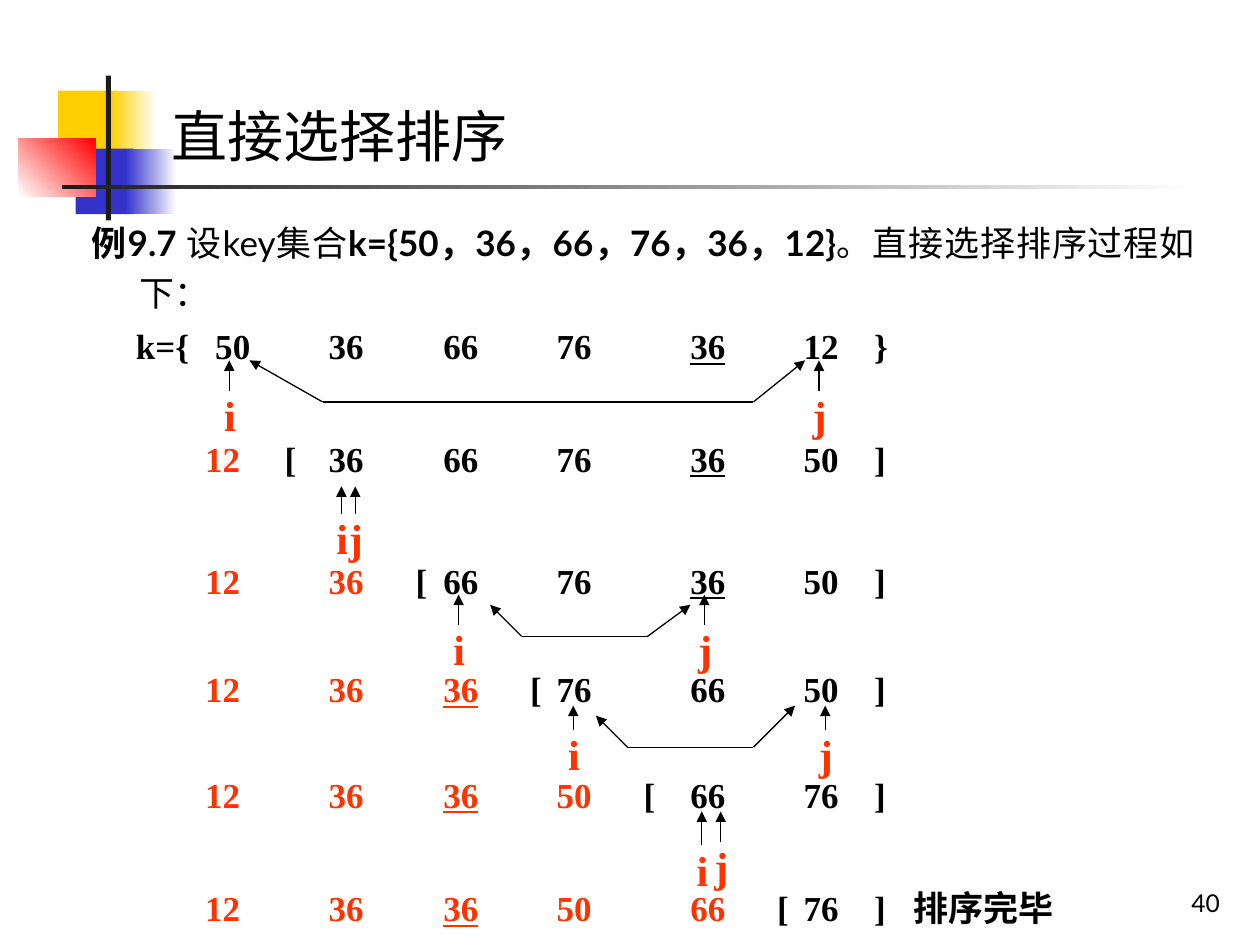
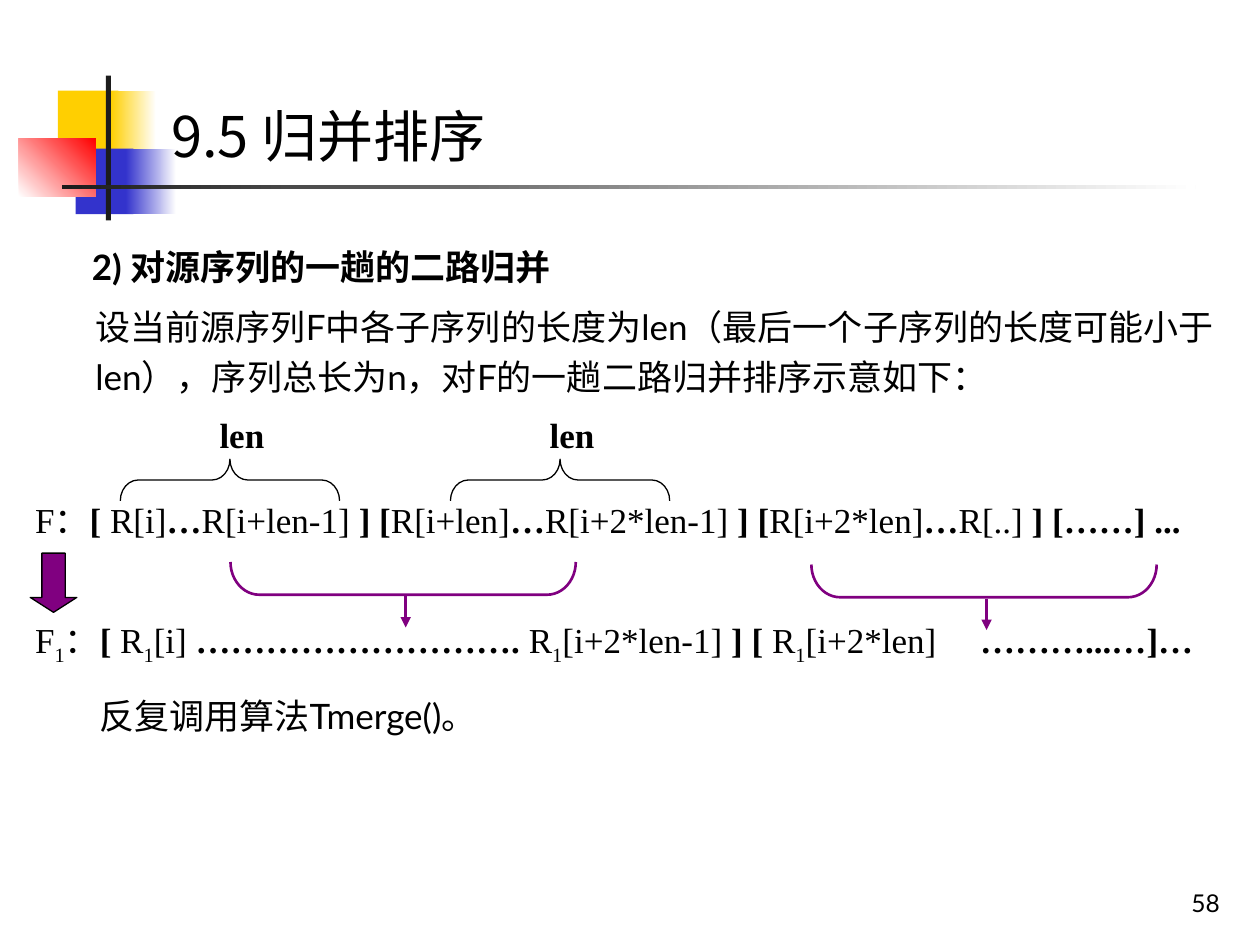
import lxml.etree
import pptx
import pptx.dml.color
import pptx.enum.shapes
import pptx.enum.text
import pptx.oxml.ns
import pptx.util

PX = 9144  # EMU in one px, 100 px to the inch
COLORS = {
    "black": "000000", "white": "FFFFFF", "charcoal": "1C1C1C",
    "yellow": "FFCF01", "blue": "3333CC", "red": "FF0000",
    "sorted": "FF3300", "purple": "800080",
}
BODY, CJK, SERIF = "Lato", "Noto Sans CJK JP", "Times New Roman"
SHAPE = pptx.enum.shapes.MSO_SHAPE
ALIGN = pptx.enum.text.PP_ALIGN
qn = pptx.oxml.ns.qn


def rgb(name):
    return pptx.dml.color.RGBColor.from_string(COLORS[name])


class Deck:
    """Holds the shared style and the slide being drawn."""

    def __init__(self):
        self.presentation = pptx.Presentation()
        self.presentation.slide_width = 1000 * PX
        self.presentation.slide_height = 750 * PX
        self.slide = None

    def new_slide(self, title, number):
        self.slide = self.presentation.slides.add_slide(self.presentation.slide_layouts[6])
        # Coloured blocks, vertical bar and fading rule
        self.shape((46, 72, 48, 52), "yellow")
        self.shape((88, 72, 36, 52), ("yellow", "white"))
        self.shape((60, 118, 46, 52), "blue")
        self.shape((100, 118, 40, 52), ("blue", "white"))
        self.shape((15, 110, 61, 46), ("white", "red"), angle=45)
        self.shape((84, 60, 4, 115), "charcoal")
        self.shape((49, 147, 900, 3), ("charcoal", "white"))
        # Title and slide number
        self.text((126, 76, 874, 64), [(title, "")], size=32, font=CJK)
        self.text((770, 683, 208, 50), [(number, "")], size=14, align=ALIGN.RIGHT,
                  anchor=pptx.enum.text.MSO_ANCHOR.BOTTOM)

    def shape(self, box, fill=None, kind=SHAPE.RECTANGLE, line=None, width=0.75,
              angle=0, rotation=0, adjust=()):
        shape = self.slide.shapes.add_shape(kind, *(value * PX for value in box))
        shape.shadow.inherit = False
        shape.rotation = rotation
        for index, value in enumerate(adjust):
            shape.adjustments[index] = value
        if fill is None:
            shape.fill.background()
        elif isinstance(fill, tuple):
            shape.fill.gradient()
            shape.fill.gradient_angle = angle
            for stop, color in zip(shape.fill.gradient_stops, fill):
                stop.color.rgb = rgb(color)
        else:
            shape.fill.solid()
            shape.fill.fore_color.rgb = rgb(fill)
        if line:
            shape.line.color.rgb = rgb(line)
            shape.line.width = pptx.util.Pt(width)
        else:
            shape.line.fill.background()

    def text(self, box, runs, size=20, font=BODY, align=ALIGN.LEFT, anchor=None,
             spacing=None, hanging=0, tabs=()):
        """Each run is (text, flags): b bold, u underline, s subscript, r red."""
        shape = self.slide.shapes.add_textbox(*(value * PX for value in box))
        frame = shape.text_frame
        frame.word_wrap = True
        if anchor is not None:
            frame.vertical_anchor = anchor
        paragraph = frame.paragraphs[0]
        paragraph.alignment = align
        if spacing:
            paragraph.line_spacing = spacing
            paragraph.space_before = pptx.util.Pt(5)
        properties = paragraph._p.get_or_add_pPr()
        if hanging:
            properties.set("marL", str(hanging * PX))
            properties.set("indent", str(-hanging * PX))
        if tabs:
            tab_list = lxml.etree.SubElement(properties, qn("a:tabLst"))
            for position in sorted(tabs):
                lxml.etree.SubElement(tab_list, qn("a:tab"), pos=str(position * PX), algn="l")
        for content, flags in runs:
            run = paragraph.add_run()
            run.text = content
            run.font.size = pptx.util.Pt(size)
            run.font.name = font
            run.font.bold = "b" in flags
            run.font.underline = "u" in flags
            run.font.color.rgb = rgb("sorted" if "r" in flags else "black")
            run_properties = run._r.get_or_add_rPr()
            if "s" in flags:
                run_properties.set("baseline", "-25000")
            lxml.etree.SubElement(run_properties, qn("a:ea"), typeface=CJK)

    def line(self, start, end, color="black", width=0.75, head=False, tail=False):
        connector = self.slide.shapes.add_connector(
            pptx.enum.shapes.MSO_CONNECTOR.STRAIGHT,
            *(value * PX for value in (*start, *end)))
        connector.line.color.rgb = rgb(color)
        connector.line.width = pptx.util.Pt(width)
        outline = connector.line._get_or_add_ln()
        for wanted, tag in ((head, "a:headEnd"), (tail, "a:tailEnd")):
            if wanted:
                lxml.etree.SubElement(outline, qn(tag), type="triangle")
        lxml.etree.SubElement(connector._element.spPr, qn("a:effectLst"))

    def marker(self, letter, x, tip, length):
        """Index letter with an arrow up to its key."""
        base = tip + length
        self.line((x, base), (x, tip), tail=True)
        self.text((x - 17, base - 6, 35, 50), [(letter, "br")], size=24, font=SERIF,
                  align=ALIGN.CENTER)

    def swap(self, points):
        """Three-part line, with arrows at both ends, between exchanged keys."""
        last = len(points) - 2
        for index, (start, end) in enumerate(zip(points, points[1:])):
            self.line(start, end, head=index == 0, tail=index == last)

    def sort_row(self, top, keys, done, underlined, bracket, note=""):
        """Keys in tabbed columns; the first `done` keys are already sorted."""
        columns = [55 if done else 63, 153, 244, 334, 440, 530]
        tabs = columns + [586] + ([bracket] if bracket else []) + ([617] if note else [])
        runs = []
        for index, key in enumerate(keys):
            if index == done:
                runs.append(("\t[" if done else "k={", "b"))
            flags = "b" + ("r" if index < done else "") + ("u" if index == underlined else "")
            runs += [("\t", "b"), (str(key), flags)]
        runs.append(("\t]" if done else "\t}", "b"))
        if note:
            runs.append(("\t" + note, "b"))
        self.text((98, top, 792, 44), runs, font=SERIF, tabs=tabs)


def selection_slide(deck):
    deck.new_slide("直接选择排序", "40")
    deck.text((63, 164, 895, 90), [
        ("例9.7 ", "b"), ("设key集合", ""), ("k={50，36，66，76，36，12}", "b"),
        ("。直接选择排序过程如下：", "")],
        align=ALIGN.JUSTIFY, spacing=1.2, hanging=38)

    # Passes: top, keys, sorted count, underlined key, bracket tab, closing note
    passes = [
        (253, (50, 36, 66, 76, 36, 12), 0, 4, 0),
        (342, (12, 36, 66, 76, 36, 50), 1, 4, 118),
        (439, (12, 36, 66, 76, 36, 50), 2, 4, 222),
        (525, (12, 36, 36, 76, 66, 50), 3, 2, 313),
        (609, (12, 36, 36, 50, 66, 76), 4, 2, 403),
        (699, (12, 36, 36, 50, 66, 76), 5, 2, 509, "排序完毕"),
    ]
    for sort_pass in passes:
        deck.sort_row(*sort_pass)

    # Index markers: i position, j position, arrow tip, arrow lengths
    for i_x, j_x, tip, i_length, j_length in [
            (182, 650, 286, 24, 24), (271, 282, 386, 22, 22), (364, 559, 472, 24, 24),
            (455, 655, 560, 19, 19), (557, 572, 644, 27, 24)]:
        deck.marker("i", i_x, tip, i_length)
        deck.marker("j", j_x, tip, j_length)

    # Exchanges
    for points in [
            [(198, 286), (256, 319), (598, 319), (639, 286)],
            [(389, 480), (414, 505), (514, 505), (548, 480)],
            [(473, 568), (498, 593), (598, 593), (631, 560)]]:
        deck.swap(points)


def merge_slide(deck):
    deck.new_slide("9.5 归并排序", "58")
    deck.text((63, 183, 895, 55), [("2) 对源序列的一趟的二路归并", "b")],
              align=ALIGN.JUSTIFY, spacing=1.2, hanging=38)
    deck.text((66, 231, 910, 90), [
        ("设当前源序列F中各子序列的长度为len（最后一个子序列的长度可能小于len），"
         "序列总长为n，对F的一趟二路归并排序示意如下：", "")], spacing=1.2)

    # Source and merged sequences
    deck.text((18, 391, 949, 74), [
        ("F：", ""), ("[", "b"), (" R[i]", ""), ("…", "b"), ("R[i+len-1] ", ""),
        ("] [", "b"), ("R[i+len]", ""), ("…", "b"), ("R[i+2*len-1] ", ""),
        ("] [", "b"), ("R[i+2*len]", ""), ("…", "b"), ("R[..] ", ""),
        ("] [……] ...", "b")], font=SERIF, align=ALIGN.JUSTIFY)
    deck.text((18, 486, 949, 74), [
        ("F", ""), ("1", "s"), ("：", ""), ("[", "b"), (" R", ""), ("1", "s"),
        ("[i] ", ""), ("………………………. ", "b"), ("R", ""), ("1", "s"),
        ("[i+2*len-1]", ""), (" ] [ ", "b"), ("R", ""), ("1", "s"),
        ("[i+2*len]", ""), ("\t………...…]…", "b")], font=SERIF, tabs=[750])
    deck.shape((24, 439, 37, 47), "purple", SHAPE.DOWN_ARROW, "black", adjust=(0.5, 0.32))

    # Brackets joining two runs, each with an arrow to the merged run
    for left, top in ((307, 322), (768, 324)):
        deck.shape((left, top, 26, 274), None, SHAPE.LEFT_BRACKET, "purple", 1.5,
                   rotation=270, adjust=(0.88,))
        arrow_x, arrow_top = left + 15, top + 151
        deck.line((arrow_x, arrow_top), (arrow_x, arrow_top + 25), "purple", 1.5, tail=True)

    # Braces over the runs of length len
    for left in (166, 428):
        deck.shape((left, 294, 33, 174), None, SHAPE.LEFT_BRACE, "black",
                   rotation=90, adjust=(0.43, 0.5))
        deck.text((left - 9, 323, 70, 44), [("len", "b")], font=SERIF, align=ALIGN.CENTER)

    deck.text((69, 540, 910, 50), [("反复调用算法Tmerge()。", "")], spacing=1.2)


def main():
    deck = Deck()
    selection_slide(deck)
    merge_slide(deck)
    deck.presentation.save("out.pptx")


if __name__ == "__main__":
    main()
